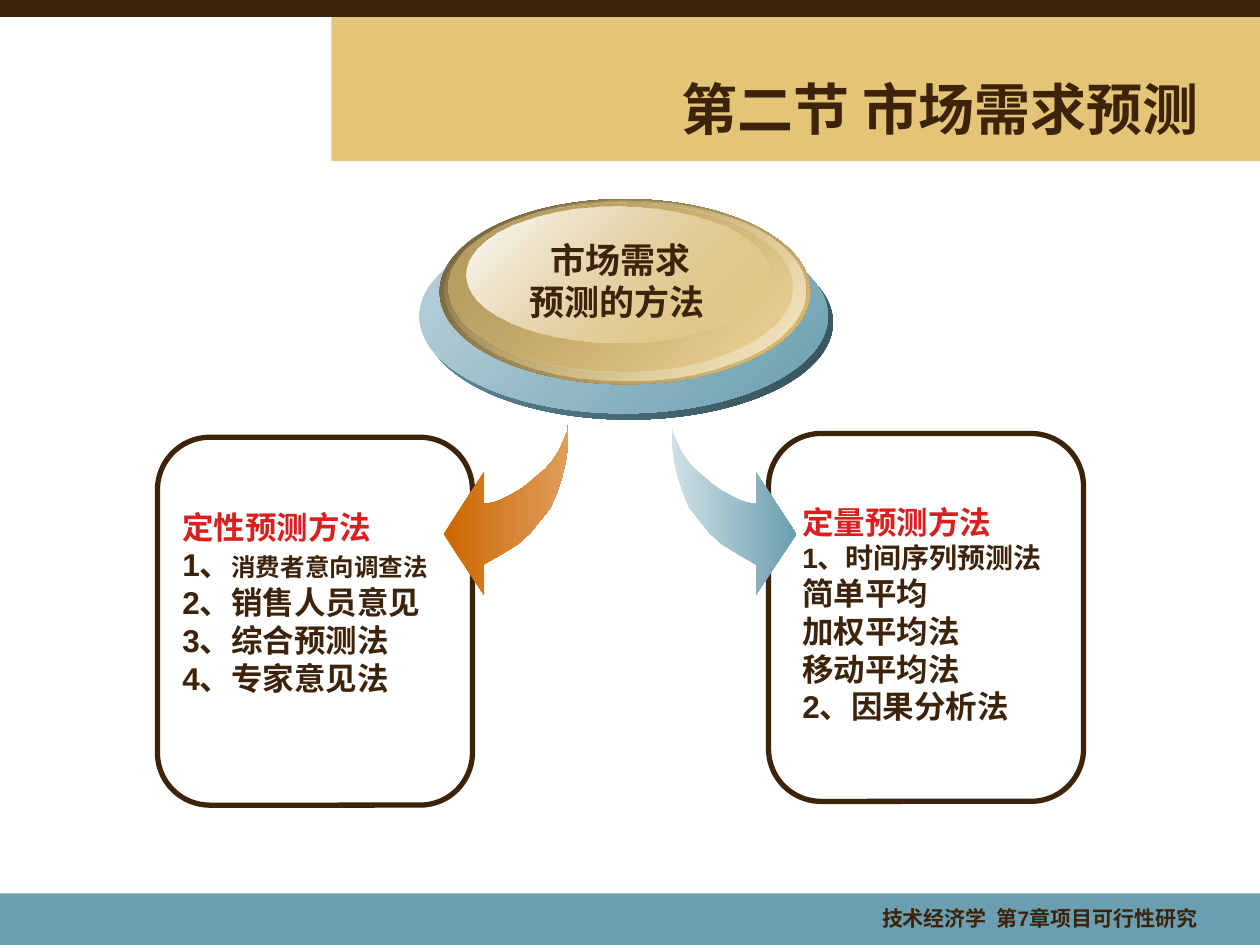
from dataclasses import dataclass
from typing import Optional

from lxml.etree import SubElement
from pptx import Presentation
from pptx.dml.color import RGBColor
from pptx.enum.shapes import MSO_SHAPE
from pptx.enum.text import MSO_ANCHOR, PP_ALIGN
from pptx.oxml.ns import qn
from pptx.util import Inches, Pt

# Grid: 1000 columns by 750 rows
CELL = Inches(10) // 1000

BROWN = RGBColor(0x3C, 0x23, 0x0A)
GOLD = RGBColor(0xE4, 0xC5, 0x78)
BLUE = RGBColor(0x6A, 0x9E, 0xB0)
RED = RGBColor(0xDB, 0x1F, 0x1F)
WHITE = RGBColor(0xFF, 0xFF, 0xFF)
NAVY = RGBColor(0x34, 0x4D, 0x56)
SKY = RGBColor(0xBD, 0xD4, 0xDC)
MIST = RGBColor(0xD0, 0xE0, 0xE6)
UMBER = RGBColor(0x6A, 0x5B, 0x38)
SAND = RGBColor(0xB5, 0x9C, 0x5F)
CREAM = RGBColor(0xF6, 0xEB, 0xD0)
RUST = RGBColor(0xCC, 0x66, 0x00)
PEACH = RGBColor(0xDF, 0x9E, 0x5D)

Box = tuple[int, int, int, int]


@dataclass
class Run:
    text: str
    size: int = 18
    color: RGBColor = BROWN
    bold: bool = True


@dataclass
class Blend:
    start: RGBColor
    end: RGBColor
    alphas: tuple[int, int] = (100, 100)
    angle: int = 315


@dataclass
class Oval:
    box: Box
    blend: Blend


@dataclass
class Panel:
    frame: Box
    body: Box
    lines: list[list[Run]]


OVALS = [
    Oval((337, 179, 324, 154), Blend(BLUE, NAVY)),
    Oval((333, 174, 324, 154), Blend(SKY, BLUE)),
    Oval((349, 158, 294, 147), Blend(UMBER, GOLD)),
    Oval((353, 159, 286, 143), Blend(GOLD, CREAM, (0, 100))),
    Oval((356, 161, 273, 134), Blend(SAND, GOLD, (100, 48))),
    Oval((370, 164, 240, 108), Blend(WHITE, GOLD, (100, 38))),
]

PANELS = [
    Panel((125, 347, 250, 292), (135, 398, 223, 161), [
        [Run("定性预测方法", color=RED)],
        [Run("1、"), Run("消费者意向调查法", 14)],
        [Run("2、销售人员意见")],
        [Run("3、综合预测法")],
        [Run("4、专家意见法")],
    ]),
    Panel((610, 344, 250, 292), (627, 394, 223, 188), [
        [Run("定量预测方法", color=RED)],
        [Run("1、时间序列预测法", 16)],
        [Run("简单平均")],
        [Run("加权平均法")],
        [Run("移动平均法")],
        [Run("2、因果分析法")],
    ]),
]

# Left arrow outline; the right one mirrors it
CURVE = [
    (451, 336), (451, 352), (449, 366), (446, 379), (442, 391), (437, 403),
    (429, 413), (421, 423), (411, 432), (398, 440), (384, 448), (384, 472),
    (352, 424), (384, 375), (384, 400), (391, 399), (397, 397), (405, 393),
    (412, 389), (419, 384), (426, 378), (433, 372), (439, 365), (444, 357),
    (447, 350), (450, 343),
]
MIRROR = 984


def scale(box: Box) -> list[int]:
    return [n * CELL for n in box]


def shade(shape, blend: Blend) -> None:
    shape.fill.gradient()
    shape.fill.gradient_angle = blend.angle
    for stop, color in zip(shape.fill.gradient_stops, (blend.start, blend.end)):
        stop.color.rgb = color
    tints = shape._element.spPr.iter(qn("a:srgbClr"))
    for tint, alpha in zip(list(tints), blend.alphas):
        if alpha < 100:
            SubElement(tint, qn("a:alpha")).set("val", str(alpha * 1000))


def draw(slide, kind: MSO_SHAPE, box: Box, fill: Optional[RGBColor] = None,
         line: Optional[RGBColor] = None, width: float = 0.75):
    shape = slide.shapes.add_shape(kind, *scale(box))
    shape.shadow.inherit = False
    if fill is None:
        shape.fill.background()
    else:
        shape.fill.solid()
        shape.fill.fore_color.rgb = fill
    if line is None:
        shape.line.fill.background()
    else:
        shape.line.color.rgb = line
        shape.line.width = Pt(width)
    return shape


def write(slide, box: Box, lines: list[list[Run]], align=PP_ALIGN.LEFT,
          anchor=MSO_ANCHOR.TOP, wrap: bool = True) -> None:
    frame = slide.shapes.add_textbox(*scale(box)).text_frame
    frame.word_wrap = wrap
    frame.vertical_anchor = anchor
    for i, line in enumerate(lines):
        para = frame.paragraphs[0] if i == 0 else frame.add_paragraph()
        para.alignment = align
        for part in line:
            run = para.add_run()
            run.text = part.text
            run.font.name = "Arial"
            run.font.size = Pt(part.size)
            run.font.bold = part.bold
            run.font.color.rgb = part.color


def arrow(slide, points: list[tuple[int, int]], blend: Blend) -> None:
    path = slide.shapes.build_freeform(*points[0], scale=CELL)
    path.add_line_segments(points[1:], close=True)
    shape = path.convert_to_shape()
    shape.shadow.inherit = False
    shape.line.fill.background()
    shade(shape, blend)


def main() -> None:
    deck = Presentation()
    deck.slide_width, deck.slide_height = 1000 * CELL, 750 * CELL
    slide = deck.slides.add_slide(deck.slide_layouts[6])

    # Bands, title and footer
    draw(slide, MSO_SHAPE.RECTANGLE, (263, 13, 737, 115), GOLD)
    draw(slide, MSO_SHAPE.RECTANGLE, (0, 709, 1000, 41), BLUE)
    draw(slide, MSO_SHAPE.RECTANGLE, (0, 0, 1000, 13), BROWN, BROWN)
    write(slide, (614, 714, 346, 33),
          [[Run("技术经济学  第7章项目可行性研究", 12)]], align=PP_ALIGN.RIGHT)
    write(slide, (531, 55, 452, 62), [[Run("第二节 市场需求预测", 32)]],
          anchor=MSO_ANCHOR.MIDDLE)

    # Method panels
    for panel in PANELS:
        draw(slide, MSO_SHAPE.ROUNDED_RECTANGLE, panel.frame,
             line=BROWN, width=3)
        write(slide, panel.body, panel.lines)

    # Curved arrows
    arrow(slide, CURVE, Blend(RUST, PEACH, angle=0))
    arrow(slide, [(MIRROR - x, y) for x, y in CURVE],
          Blend(MIST, BLUE, angle=0))

    # Central disc
    for oval in OVALS:
        shade(draw(slide, MSO_SHAPE.OVAL, oval.box), oval.blend)
    write(slide, (410, 184, 165, 77),
          [[Run("市场需求", 20)],
           [Run("预测的方法", 20), Run(" ", bold=False)]],
          align=PP_ALIGN.CENTER, wrap=False)

    deck.save("out.pptx")


if __name__ == "__main__":
    main()
